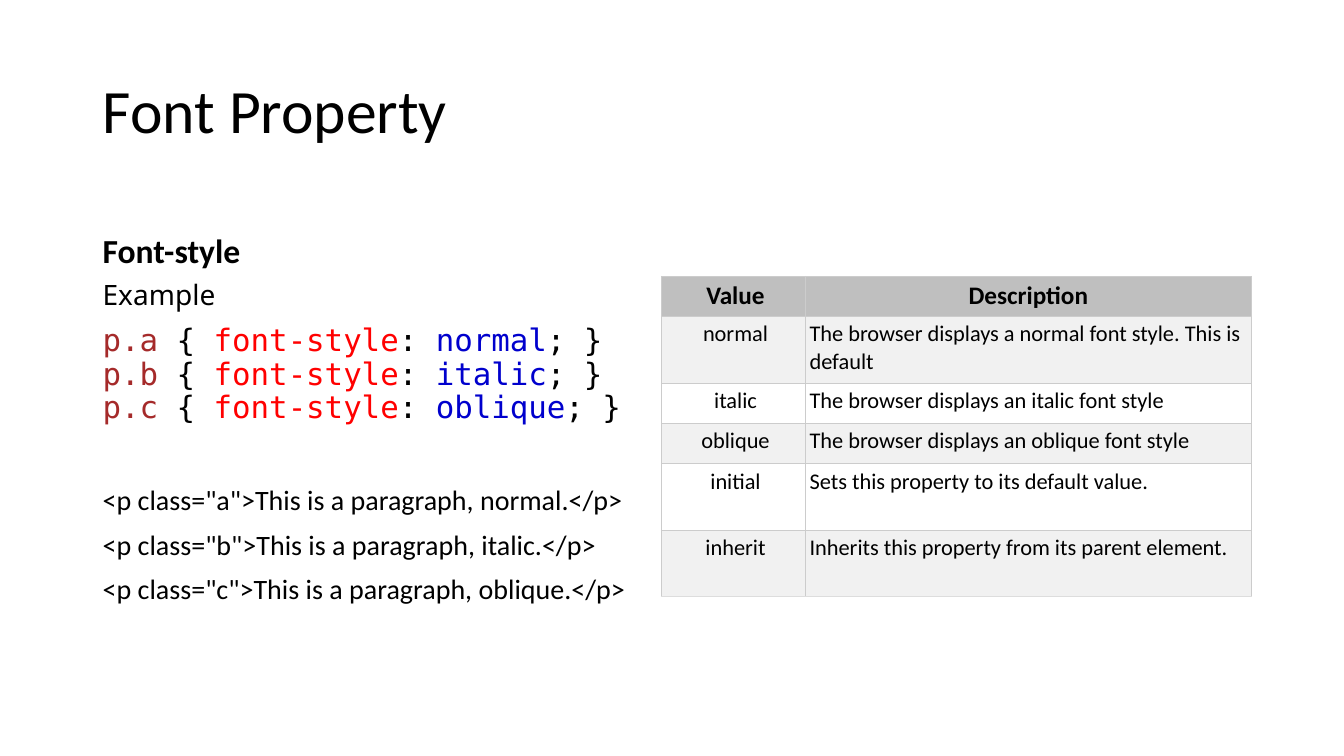
from dataclasses import dataclass

from lxml import etree
from pptx import Presentation
from pptx import util as u
from pptx.dml.color import RGBColor
from pptx.enum import text
from pptx.oxml.ns import qn


@dataclass(frozen=True)
class Theme:
    body: str = "Calibri"
    label: str = "Noto Sans"
    mono: str = "DejaVu Sans Mono"
    title_size: int = 44
    heading_size: int = 24
    code_size: int = 22
    text_size: int = 20
    head_size: int = 18
    cell_size: int = 16
    black: str = "000000"
    selector: str = "A52A2A"
    prop: str = "FF0000"
    value: str = "0000CD"
    head_fill: str = "BFBFBF"
    band_fill: str = "F1F1F1"
    plain_fill: str = "FFFFFF"
    grid: str = "CCCCCC"
    bottom: str = "DDDDDD"


T = Theme()

STYLES = [("a", "normal"), ("b", "italic"), ("c", "oblique")]

# Value, description, row height
ROWS = [
    ("Value", "Description", 0.4),
    ("normal", "The browser displays a normal font style. This is default", 0.66),
    ("italic", "The browser displays an italic font style", 0.4),
    ("oblique", "The browser displays an oblique font style", 0.4),
    ("initial", "Sets this property to its default value.", 0.66),
    ("inherit", "Inherits this property from its parent element.", 0.66),
]


def set_font(font, size, name=T.body, bold=False, color=T.black):
    font.name, font.size, font.bold = name, u.Pt(size), bold
    font.color.rgb = RGBColor.from_string(color)


def place(sp, left, top, width, height, anchor):
    sp.left, sp.top = u.Inches(left), u.Inches(top)
    sp.width, sp.height = u.Inches(width), u.Inches(height)
    tf = sp.text_frame
    tf.word_wrap = True
    tf.auto_size = text.MSO_AUTO_SIZE.NONE
    tf.vertical_anchor = anchor
    return tf


def add_box(s, left, top, width, height, anchor=text.MSO_ANCHOR.TOP):
    return place(s.shapes.add_textbox(0, 0, 0, 0), left, top, width, height, anchor)


def format_paragraph(p, size, before=10, **font):
    p.alignment = text.PP_ALIGN.LEFT
    p.line_spacing = 0.9
    p.space_before = u.Pt(before)
    set_font(p.font, size, **font)


def add_title(s, words):
    tf = place(s.shapes.title, 0.92, 0.4, 11.5, 1.45, text.MSO_ANCHOR.MIDDLE)
    tf.text = words
    format_paragraph(tf.paragraphs[0], T.title_size, before=0)


def add_css(p):
    """One coloured rule per line, all in one paragraph."""
    format_paragraph(p, T.code_size, name=T.mono)
    for i, (cls, style) in enumerate(STYLES):
        if i:
            p.add_line_break()
        for words, color in [(f"p.{cls}\u00a0", T.selector), ("{", T.black),
                             ("\u00a0font-style", T.prop), (":", T.black),
                             (f"\u00a0{style}", T.value), ("; }", T.black)]:
            r = p.add_run()
            r.text = words
            set_font(r.font, T.code_size, T.mono, color=color)


def add_example(s):
    tf = add_box(s, 0.92, 2.74, 5.64, 4.03)
    p = tf.paragraphs[0]
    p.text = "Example"
    format_paragraph(p, T.text_size, name=T.label)
    add_css(tf.add_paragraph())
    # A wide gap sets the HTML lines apart from the CSS
    for i, (cls, style) in enumerate(STYLES):
        p = tf.add_paragraph()
        p.text = f'<p class="{cls}">This is a paragraph, {style}.</p>'
        format_paragraph(p, T.text_size, before=10 if i else 44)


def set_borders(cell, bottom):
    tc_pr = cell._tc.get_or_add_tcPr()
    for i, side in enumerate(("lnL", "lnR", "lnT", "lnB")):
        ln = etree.Element(qn(f"a:{side}"), w=str(u.Pt(0.75)))
        fill = etree.SubElement(ln, qn("a:solidFill"))
        etree.SubElement(fill, qn("a:srgbClr"), val=bottom if side == "lnB" else T.grid)
        tc_pr.insert(i, ln)


def format_cell(cell, words, row, col):
    head = row == 0
    cell.text = words
    cell.margin_left = u.Inches(0.04 if col else 0.08)
    cell.margin_right = cell.margin_top = cell.margin_bottom = u.Inches(0.04)
    p = cell.text_frame.paragraphs[0]
    centred = head or col == 0
    p.alignment = text.PP_ALIGN.CENTER if centred else text.PP_ALIGN.LEFT
    set_font(p.font, T.head_size if head else T.cell_size, bold=head)
    fill = T.head_fill if head else T.band_fill if row % 2 else T.plain_fill
    cell.fill.solid()
    cell.fill.fore_color.rgb = RGBColor.from_string(fill)
    set_borders(cell, T.bottom if row == len(ROWS) - 1 else T.grid)


def add_values_table(s):
    table = s.shapes.add_table(len(ROWS), 2, u.Inches(6.56), u.Inches(2.74),
                               u.Inches(5.85), u.Inches(3.18)).table
    for column, width in zip(table.columns, (1.43, 4.42)):
        column.width = u.Inches(width)
    for i, (*words, height) in enumerate(ROWS):
        table.rows[i].height = u.Inches(height)
        for j, word in enumerate(words):
            format_cell(table.cell(i, j), word, i, j)


def main():
    prs = Presentation()
    prs.slide_width, prs.slide_height = u.Inches(13.33), u.Inches(7.5)
    s = prs.slides.add_slide(prs.slide_layouts[5])

    # Title and section heading
    add_title(s, "Font\u00a0Property")
    tf = add_box(s, 0.92, 1.84, 5.64, 0.9, text.MSO_ANCHOR.BOTTOM)
    tf.text = "Font-style"
    format_paragraph(tf.paragraphs[0], T.heading_size, bold=True)

    # Code on the left, values on the right
    add_example(s)
    add_values_table(s)
    prs.save("out.pptx")


main()
